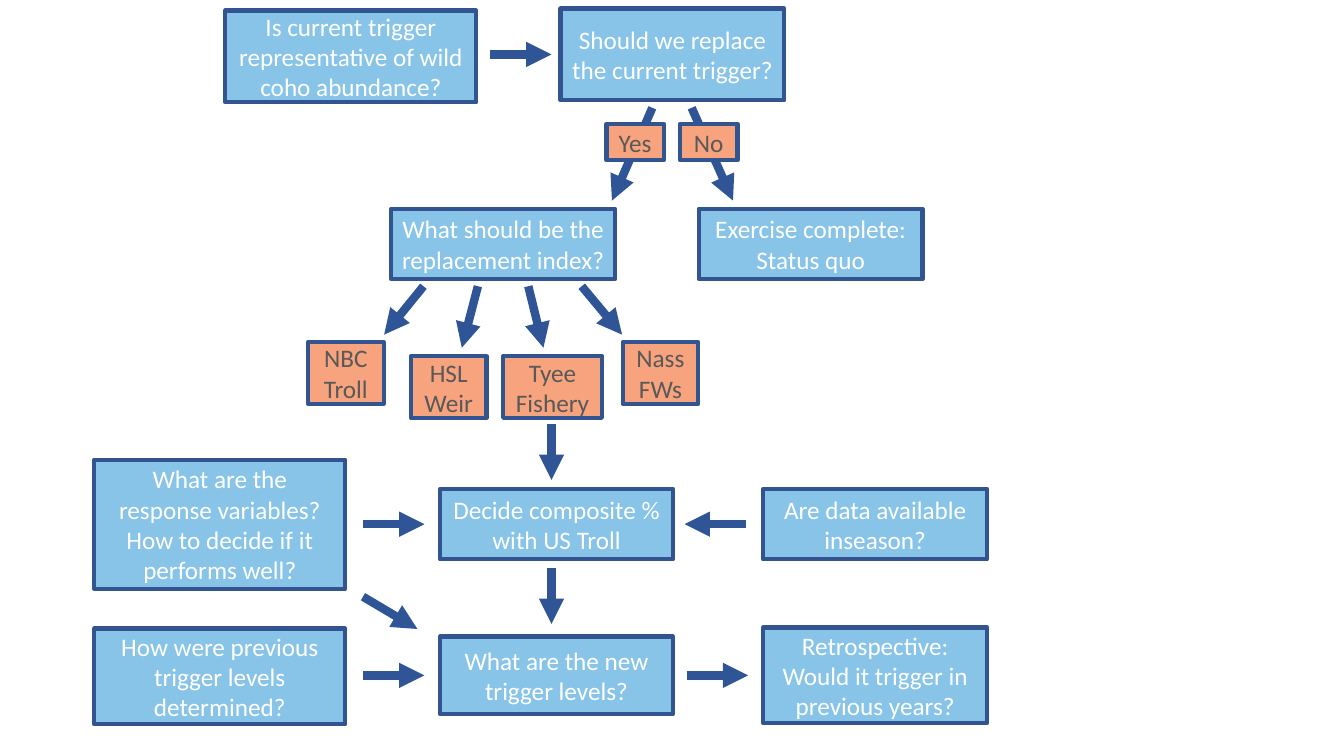
"""Build a decision flowchart for replacing the current coho trigger."""
from lxml import etree
from pptx import Presentation
from pptx.dml.color import RGBColor
from pptx.enum.shapes import MSO_CONNECTOR, MSO_SHAPE
from pptx.enum.text import MSO_ANCHOR, PP_ALIGN
from pptx.oxml.ns import qn
from pptx.util import Inches, Pt

RECTANGLE = MSO_SHAPE.RECTANGLE
STRAIGHT = MSO_CONNECTOR.STRAIGHT
MIDDLE = MSO_ANCHOR.MIDDLE
CENTER = PP_ALIGN.CENTER

QUESTION_STYLE = ("88C3E8", "FFFFFF")
OPTION_STYLE = ("F7A37D", "595959")
BORDER, ARROW = "325491", "2F5597"
LEFT, TRUNK, RIGHT = 2.18, 5.52, 8.68
START_ROW, ANSWER_ROW, INDEX_ROW = 0.54, 1.41, 2.42
OUTER_ROW, INNER_ROW, COMPOSITE_ROW, LEVEL_ROW = 3.7, 3.84, 5.2, 6.7
WIDE, NORMAL, MEDIUM = 2.49, 2.22, 2.31

# Each box: text, centre x, centre y, width, height
QUESTIONS = [
    ("Is current trigger representative of wild coho abundance?", 3.48, START_ROW + 0.02, WIDE, 0.91),
    ("Should we replace the current trigger?", 6.67, START_ROW, NORMAL, 0.91),
    ("What should be the replacement index?", 4.99, INDEX_ROW, NORMAL, 0.7),
    ("Exercise complete:\nStatus quo", 8.04, INDEX_ROW, NORMAL, 0.7),
    ("What are the response variables? How to decide if it performs well?", LEFT, COMPOSITE_ROW, WIDE, 1.28),
    ("Decide composite % with US Troll", TRUNK, COMPOSITE_ROW, MEDIUM, 0.7),
    ("Are data available inseason?", RIGHT, COMPOSITE_ROW, NORMAL, 0.7),
    ("How were previous trigger levels determined?", LEFT, LEVEL_ROW + 0.01, WIDE, 0.95),
    ("What are the new trigger levels?", TRUNK, LEVEL_ROW, MEDIUM, 0.77),
    ("Retrospective: Would it trigger in previous years?", RIGHT, LEVEL_ROW, NORMAL, 0.95),
]
OPTIONS = [
    ("Yes", 6.3, ANSWER_ROW, 0.57, 0.36),
    ("No", 7.03, ANSWER_ROW, 0.57, 0.36),
    ("NBC Troll", 3.43, OUTER_ROW, 0.75, 0.61),
    ("HSL Weir", 4.45, INNER_ROW, 0.75, 0.61),
    ("Tyee Fishery", 5.48, INNER_ROW, 0.98, 0.61),
    ("Nass FWs", 6.55, OUTER_ROW, 0.75, 0.61),
]

# Each arrow: start x, start y, horizontal run, vertical run
STEP, DROP, FAN_TOP = 0.61, 0.55, 2.84
ARROWS = [
    (4.86, START_ROW, STEP, 0),
    (6.47, 1.07, -0.4, 0.92),
    (6.86, 1.07, 0.41, 0.92),
    (4.2, FAN_TOP, -0.39, 0.48),
    (4.74, FAN_TOP, -0.16, 0.61),
    (5.24, FAN_TOP, 0.15, 0.61),
    (5.77, FAN_TOP, 0.4, 0.48),
    (5.47, 4.21, 0, DROP),
    (5.47, 5.64, 0, DROP),
    (3.6, COMPOSITE_ROW, STEP, 0),
    (7.4, COMPOSITE_ROW, -STEP, 0),
    (3.6, 5.92, 0.54, 0.32),
    (3.6, LEVEL_ROW, STEP, 0),
    (6.81, LEVEL_ROW, STEP, 0),
]


def color(hex_code):
    """Turn a hex string into a colour."""
    return RGBColor.from_string(hex_code)


def add_arrow(slide, x, y, run, rise):
    """Draw a thick line with a triangular head at its end."""
    ends = [Inches(value) for value in (x, y, x + run, y + rise)]
    connector = slide.shapes.add_connector(STRAIGHT, *ends)
    connector.line.color.rgb = color(ARROW)
    connector.line.width = Pt(6)
    properties = connector.element.spPr
    etree.SubElement(properties.find(qn("a:ln")), qn("a:tailEnd"), type="triangle")
    etree.SubElement(properties, qn("a:effectLst"))


def add_box(slide, style, text, x, y, width, height):
    """Draw a bordered box with centred text around a centre point."""
    fill, ink = style
    frame = [Inches(value) for value in (x - width / 2, y - height / 2, width, height)]
    shape = slide.shapes.add_shape(RECTANGLE, *frame)
    shape.shadow.inherit = False
    shape.fill.solid()
    shape.fill.fore_color.rgb = color(fill)
    shape.line.color.rgb = color(BORDER)
    shape.line.width = Pt(3)
    shape.text_frame.text = text
    shape.text_frame.word_wrap = True
    shape.text_frame.vertical_anchor = MIDDLE
    for paragraph in shape.text_frame.paragraphs:
        paragraph.alignment = CENTER
        paragraph.font.name = "Calibri"
        paragraph.font.size = Pt(18)
        paragraph.font.color.rgb = color(ink)


presentation = Presentation()
presentation.slide_width = Inches(13.33)
presentation.slide_height = Inches(7.5)
slide = presentation.slides.add_slide(presentation.slide_layouts[6])
for arrow in ARROWS:
    add_arrow(slide, *arrow)
for style, boxes in ((QUESTION_STYLE, QUESTIONS), (OPTION_STYLE, OPTIONS)):
    for box in boxes:
        add_box(slide, style, *box)
presentation.save("out.pptx")
